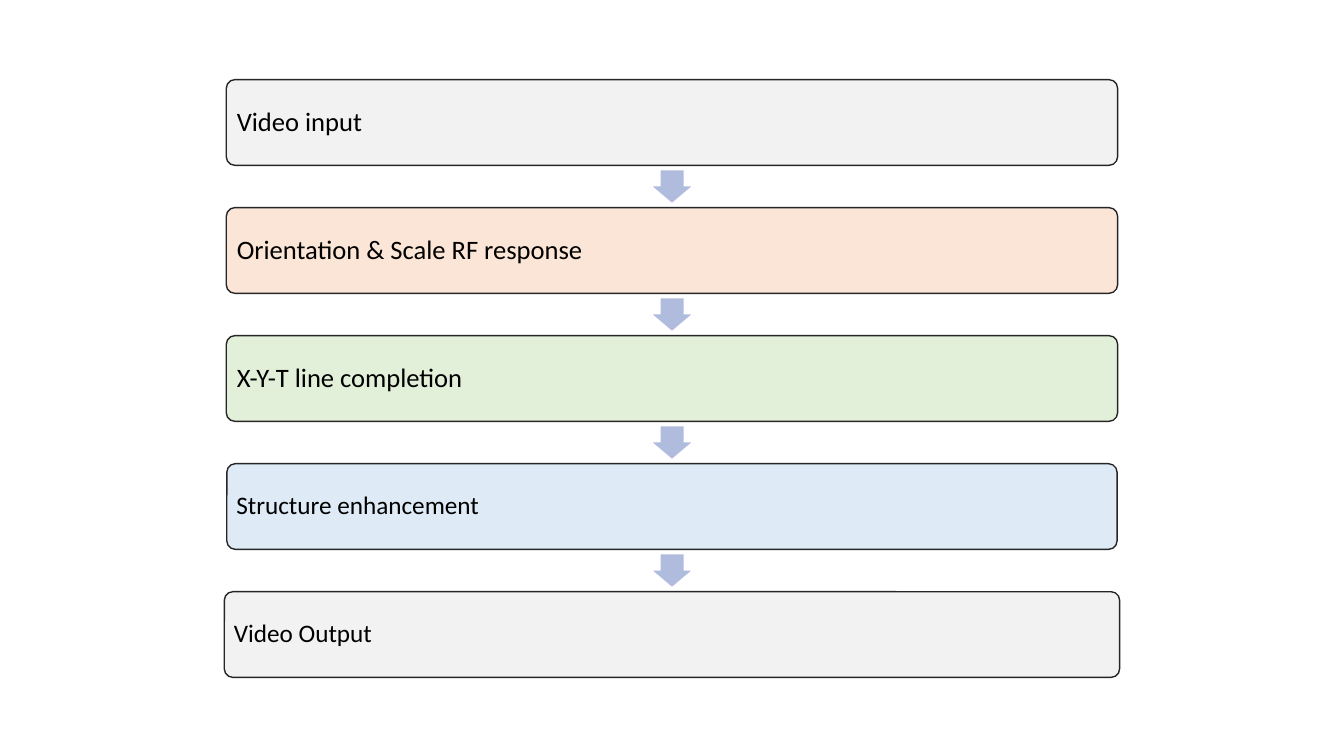
from dataclasses import dataclass

from pptx import Presentation
from pptx.dml.color import RGBColor
from pptx.enum.shapes import MSO_SHAPE
from pptx.enum.text import MSO_ANCHOR, PP_ALIGN
from pptx.util import Inches, Pt

ROUNDED = MSO_SHAPE.ROUNDED_RECTANGLE
DOWN_ARROW = MSO_SHAPE.DOWN_ARROW
MIDDLE = MSO_ANCHOR.MIDDLE
LEFT = PP_ALIGN.LEFT


@dataclass(frozen=True)
class Theme:
    font: str = "Calibri"
    large: int = 19
    small: int = 18
    text: str = "000000"
    outline: str = "262626"
    arrow: str = "B0BCDE"
    gray: str = "F2F2F2"
    orange: str = "FBE5D6"
    green: str = "E2F0D9"
    blue: str = "DEEBF7"


THEME = Theme()
CENTER = 6.665
FIRST_TOP = 0.79
STEP_PITCH = 1.27
STEP_HEIGHT = 0.85
ARROW_OFFSET = 0.9
ARROW_WIDTH = 0.38
ARROW_HEIGHT = 0.32

STEPS = [
    ("Video input", THEME.gray, 8.84, THEME.large, 0.08),
    ("Orientation & Scale RF response", THEME.orange, 8.84, THEME.large, 0.08),
    ("X-Y-T line completion", THEME.green, 8.84, THEME.large, 0.08),
    ("Structure enhancement", THEME.blue, 8.83, THEME.small, 0.07),
    ("Video Output", THEME.gray, 8.88, THEME.small, 0.07),
]


def add_centered_shape(page, kind, top, width, height, fill):
    shape = page.shapes.add_shape(
        kind, Inches(CENTER - width / 2), Inches(top), Inches(width), Inches(height)
    )
    shape.shadow.inherit = False
    shape.fill.solid()
    shape.fill.fore_color.rgb = RGBColor.from_string(fill)
    return shape


def add_step(page, top, label, fill, width, size, inset):
    box = add_centered_shape(page, ROUNDED, top, width, STEP_HEIGHT, fill)
    box.adjustments[0] = 0.1
    box.line.color.rgb = RGBColor.from_string(THEME.outline)
    box.line.width = Pt(1)
    frame = box.text_frame
    frame.word_wrap = True
    frame.vertical_anchor = MIDDLE
    frame.margin_left = frame.margin_right = Inches(inset)
    frame.margin_top = frame.margin_bottom = Inches(inset)
    para = frame.paragraphs[0]
    para.text = label
    para.alignment = LEFT
    para.line_spacing = 0.9
    para.font.name = THEME.font
    para.font.size = Pt(size)
    para.font.color.rgb = RGBColor.from_string(THEME.text)


def add_arrow(page, top):
    arrow = add_centered_shape(
        page, DOWN_ARROW, top, ARROW_WIDTH, ARROW_HEIGHT, THEME.arrow
    )
    arrow.adjustments[0] = 0.6
    arrow.adjustments[1] = 0.5
    arrow.line.fill.background()


def main():
    deck = Presentation()
    deck.slide_width = Inches(13.33)
    deck.slide_height = Inches(7.5)
    page = deck.slides.add_slide(deck.slide_layouts[6])
    for index, step in enumerate(STEPS):
        top = FIRST_TOP + index * STEP_PITCH
        if index:
            add_arrow(page, top - STEP_PITCH + ARROW_OFFSET)
        add_step(page, top, *step)
    deck.save("out.pptx")


if __name__ == "__main__":
    main()
